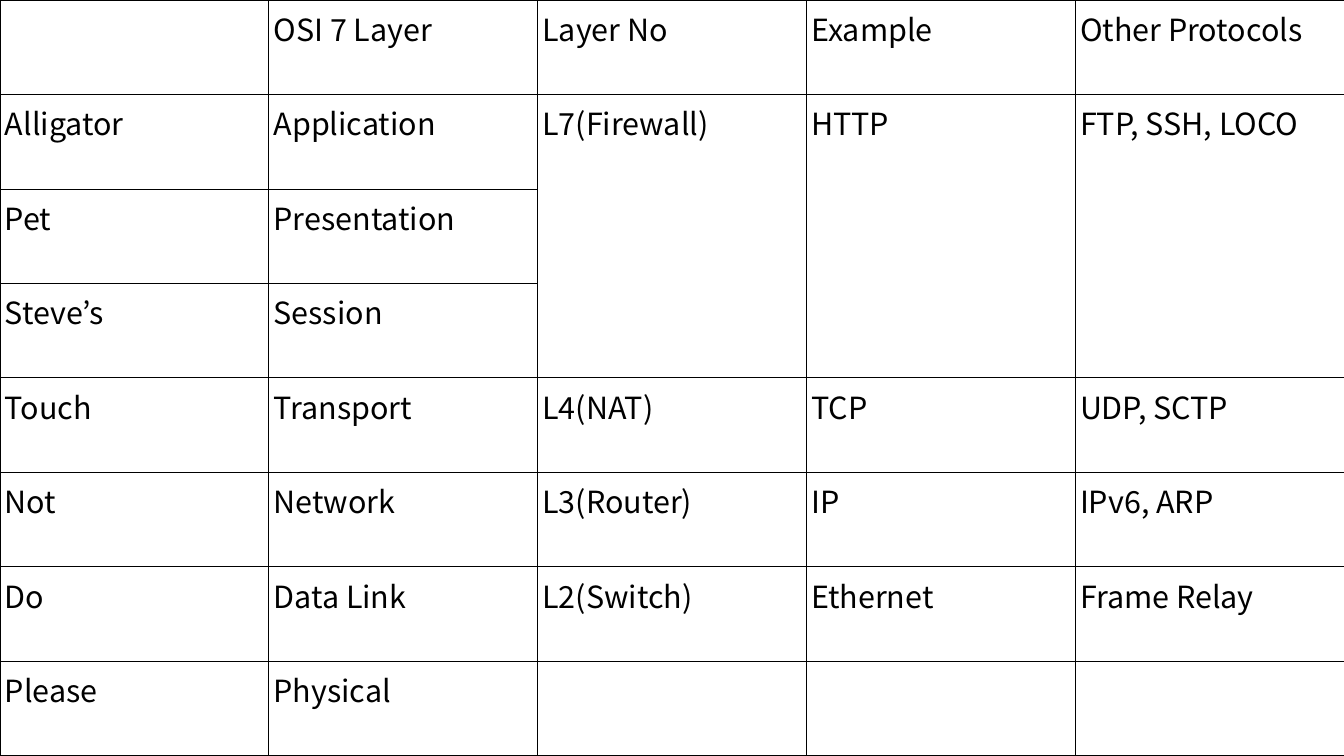
from lxml.etree import SubElement
from pptx import Presentation
from pptx.dml.color import RGBColor
from pptx.oxml.ns import qn
from pptx.util import Inches, Pt

ROWS = [
    ("", "OSI 7 Layer", "Layer No", "Example", "Other Protocols"),
    ("Alligator", "Application", "L7(Firewall)", "HTTP", "FTP, SSH, LOCO"),
    ("Pet", "Presentation", "", "", ""),
    ("Steve’s", "Session", "", "", ""),
    ("Touch", "Transport", "L4(NAT)", "TCP", "UDP, SCTP"),
    ("Not", "Network", "L3(Router)", "IP", "IPv6, ARP"),
    ("Do", "Data Link", "L2(Switch)", "Ethernet", "Frame Relay"),
    ("Please", "Physical", "", "", ""),
]
MERGED_COLUMNS = (2, 3, 4)
MERGE_FIRST_ROW, MERGE_LAST_ROW = 1, 3

WIDTH, HEIGHT = Inches(11.02), Inches(6.2)
FONT = "Noto Sans CJK KR"
BLACK = RGBColor(0, 0, 0)
BORDER_WIDTH = Pt(0.57)


def add_borders(cell):
    properties = cell._tc.get_or_add_tcPr()
    for side in ("a:lnL", "a:lnR", "a:lnT", "a:lnB"):
        line = SubElement(properties, qn(side), w=str(BORDER_WIDTH))
        fill = SubElement(line, qn("a:solidFill"))
        SubElement(fill, qn("a:srgbClr"), val=str(BLACK))


def format_cell(cell, text):
    add_borders(cell)
    cell.fill.background()
    cell.margin_left = cell.margin_right = Inches(0.04)
    cell.margin_top = cell.margin_bottom = Inches(0.05)
    cell.text_frame.text = text
    font = cell.text_frame.paragraphs[0].font
    for run in cell.text_frame.paragraphs[0].runs:
        font = run.font
    font.name = FONT
    font.size = Pt(18)
    font.bold = False
    font.color.rgb = BLACK


def main():
    presentation = Presentation()
    presentation.slide_width, presentation.slide_height = WIDTH, HEIGHT
    slide = presentation.slides.add_slide(presentation.slide_layouts[6])
    table = slide.shapes.add_table(
        len(ROWS), len(ROWS[0]), 0, 0, WIDTH, HEIGHT
    ).table
    table.first_row = table.horz_banding = False

    for row_index, row in enumerate(ROWS):
        for column_index, text in enumerate(row):
            format_cell(table.cell(row_index, column_index), text)
    for column_index in MERGED_COLUMNS:
        first = table.cell(MERGE_FIRST_ROW, column_index)
        first.merge(table.cell(MERGE_LAST_ROW, column_index))

    presentation.save("out.pptx")


if __name__ == "__main__":
    main()
